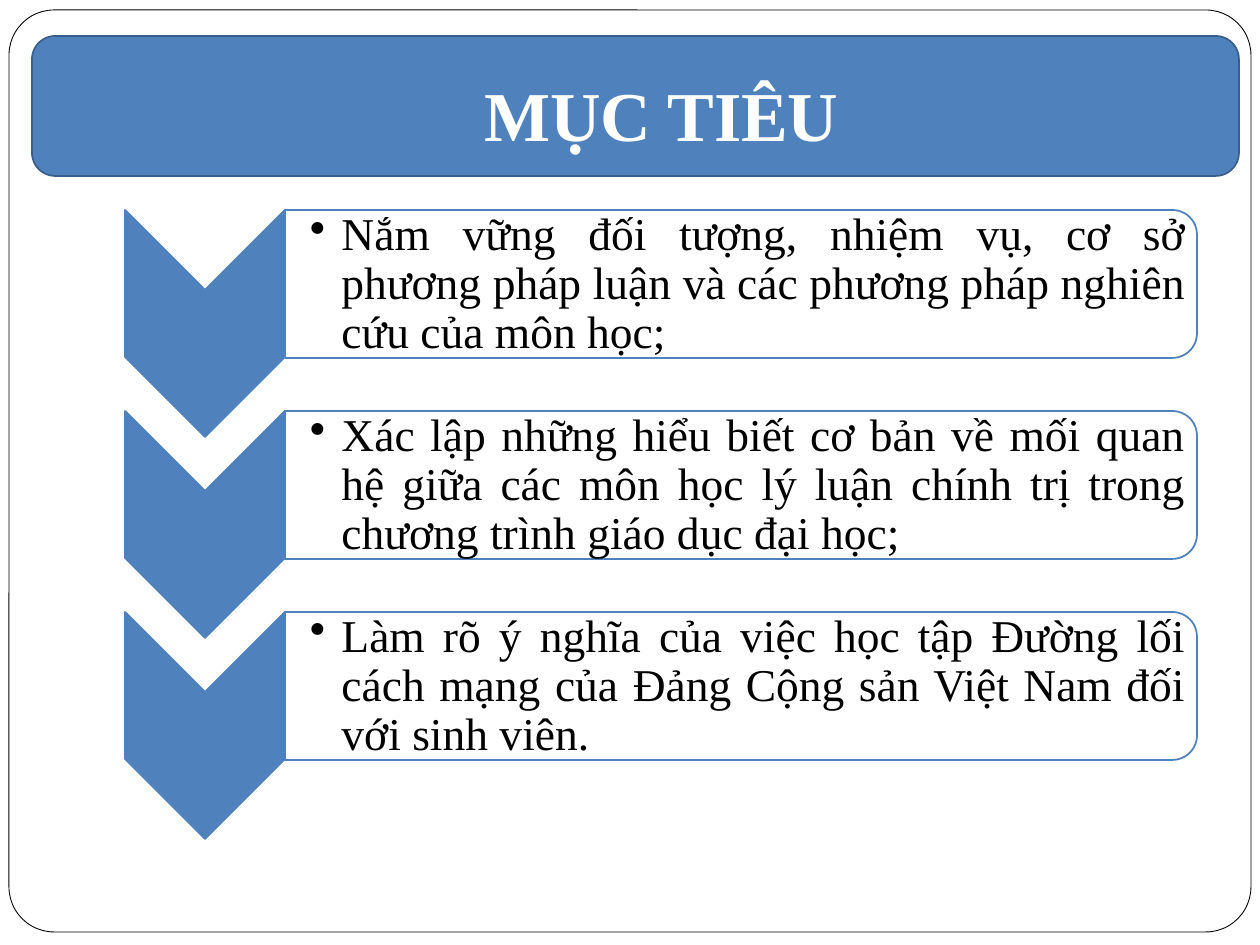
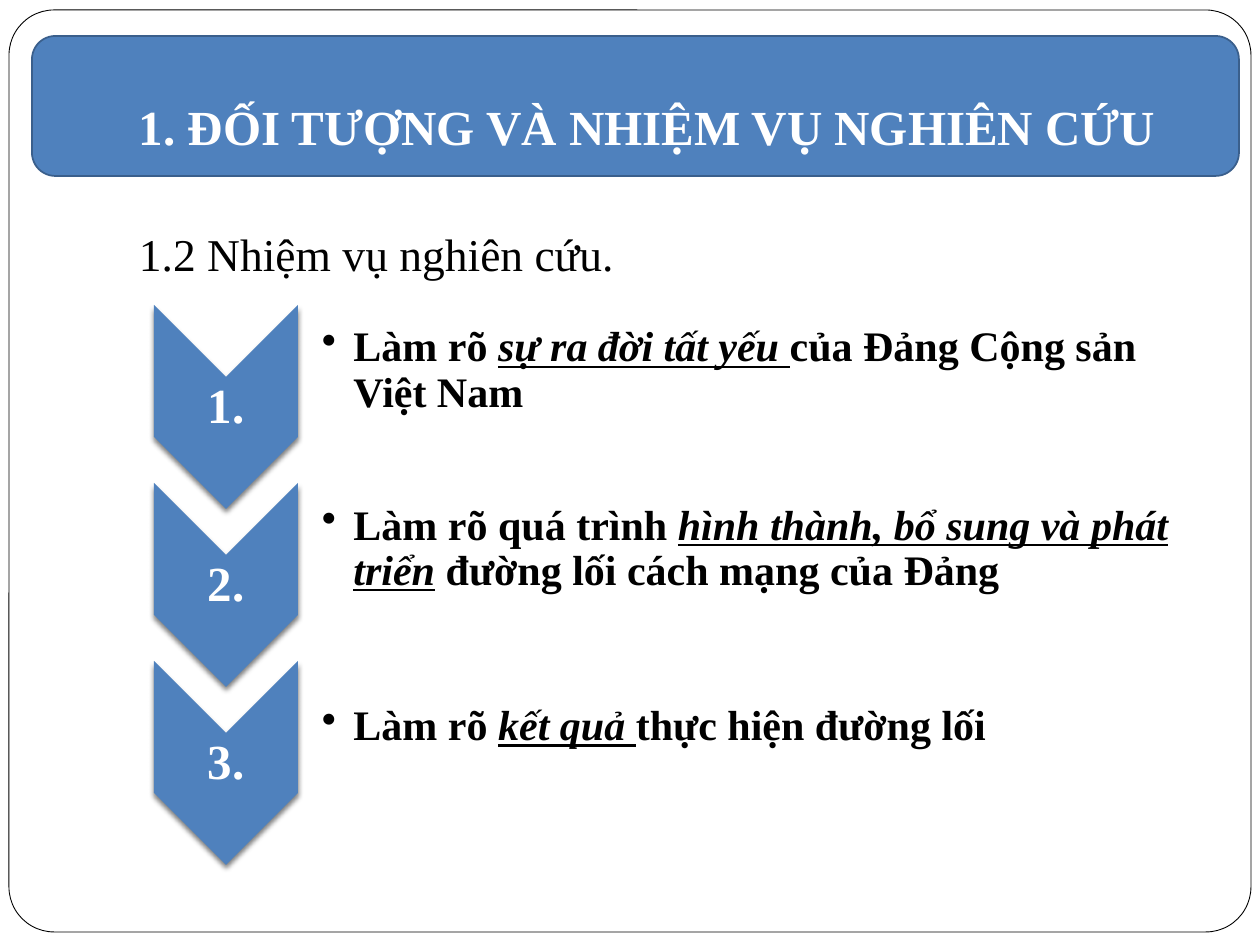
from lxml import etree
from pptx import Presentation
from pptx import util as u
from pptx.dml import color
from pptx.enum import shapes, text
from pptx.oxml import ns

KIND = shapes.MSO_SHAPE
ALIGN = text.PP_ALIGN
ANCHOR = text.MSO_ANCHOR


def px(n):
    return round(n * 914400 / 126)


def rgb(code):
    return color.RGBColor.from_string(code)


def sub(node, tag, **attrs):
    return etree.SubElement(node, ns.qn(tag), {k: str(v) for k, v in attrs.items()})


class Deck:
    font = "Times New Roman"
    blue, edge, white, black = "4F81BD", "3A5F8C", "FFFFFF", "000000"

    def __init__(self):
        self.prs = Presentation()
        self.prs.slide_width, self.prs.slide_height = px(1260), px(945)

    def page(self, title, size, align):
        self.slide = self.prs.slides.add_slide(self.prs.slide_layouts[6])
        frame = self.shape(KIND.ROUNDED_RECTANGLE, 9, 10, 1242, 922, self.white, self.black, 0.5)
        frame.adjustments[0] = 0.049
        self.shape(KIND.ROUNDED_RECTANGLE, 32, 36, 1207, 140, self.blue, self.edge)
        self.label(title, 126, 10, 1071, 158, size, self.white, True, align,
                   ANCHOR.BOTTOM, (13, 6, 13, 13))

    def shape(self, kind, x, y, w, h, fill, line=None, width=1):
        item = self.slide.shapes.add_shape(kind, px(x), px(y), px(w), px(h))
        item.shadow.inherit = False
        item.fill.solid()
        item.fill.fore_color.rgb = rgb(fill)
        if line:
            item.line.color.rgb = rgb(line)
            item.line.width = u.Pt(width)
        else:
            item.line.fill.background()
        return item

    def turned(self, kind, x, y, w, h, fill, line=None):
        shift = (w - h) / 2
        item = self.shape(kind, x + shift, y - shift, h, w, fill, line)
        item.rotation = 90
        return item

    def chevron(self, x, y, w, h, line=None):
        return self.turned(KIND.CHEVRON, x, y, w, h, self.blue, line)

    def shade(self, item):
        fx = item._element.spPr.find(ns.qn("a:effectLst"))
        cast = sub(fx, "a:outerShdw", blurRad=u.Pt(3), dist=u.Pt(2), dir=5400000,
                   rotWithShape=0)
        sub(sub(cast, "a:srgbClr", val=self.black), "a:alpha", val=50000)

    def label(self, words, x, y, w, h, size, ink, bold=False, align=ALIGN.LEFT,
              anchor=ANCHOR.MIDDLE, pad=(3, 3, 3, 3)):
        box = self.slide.shapes.add_textbox(px(x), px(y), px(w), px(h))
        body = box.text_frame
        body.word_wrap = True
        body.vertical_anchor = anchor
        body.margin_left, body.margin_top, body.margin_right, body.margin_bottom = map(px, pad)
        para = body.paragraphs[0]
        para.alignment = align
        for n, part in enumerate(words.split("|")):
            run = para.add_run()
            run.text = part
            run.font.name, run.font.size = self.font, u.Pt(size)
            run.font.bold = bold
            run.font.color.rgb = rgb(ink)
            if n % 2:
                run.font.italic = run.font.underline = True
        return para

    def bullet(self, words, x, y, w, h, size, bold=False, align=ALIGN.LEFT):
        para = self.label(words, x, y, w, h, size, self.black, bold, align, pad=(25, 3, 3, 3))
        para.line_spacing = 0.9
        props = para._p.get_or_add_pPr()
        props.set("marL", str(u.Inches(0.25)))
        props.set("indent", str(-u.Inches(0.25)))
        sub(props, "a:buChar", char="•")


deck = Deck()

deck.page("MỤC TIÊU", 40, ALIGN.CENTER)
goals = [
    "Nắm vững đối tượng, nhiệm vụ, cơ sở phương pháp luận và các phương pháp nghiên cứu của môn học;",
    "Xác lập những hiểu biết cơ bản về mối quan hệ giữa các môn học lý luận chính trị trong chương trình giáo dục đại học;",
    "Làm rõ ý nghĩa của việc học tập Đường lối cách mạng của Đảng Cộng sản Việt Nam đối với sinh viên.",
]
for n, goal in enumerate(goals):
    top = 210 + 201 * n
    deck.chevron(125, top, 160, 227, deck.blue)
    deck.turned(KIND.ROUND_2_SAME_RECTANGLE, 285, top, 912, 148, deck.white, deck.blue)
    deck.bullet(goal, 285, top + 8, 904, 134, 26, align=ALIGN.JUSTIFY)

deck.page("1. ĐỐI TƯỢNG VÀ NHIỆM VỤ NGHIÊN CỨU", 28, ALIGN.LEFT)
intro = deck.label("1.2 Nhiệm vụ nghiên cứu.", 126, 220, 1071, 72, 26, deck.black,
                   anchor=ANCHOR.TOP, pad=(13, 6, 13, 6))
intro.space_before = u.Pt(5.8)
tasks = [
    "Làm rõ |sự ra đời tất yếu |của Đảng Cộng sản Việt Nam",
    "Làm rõ quá trình |hình thành, bổ sung và phát triển| đường lối cách mạng của Đảng",
    "Làm rõ |kết quả |thực hiện đường lối",
]
for n, task in enumerate(tasks):
    top = 305 + 178 * n
    deck.shade(deck.chevron(154, top, 144, 204))
    mark = deck.label(f"{n + 1}.", 154, top + 72, 144, 62, 28, deck.white, True, ALIGN.CENTER)
    mark.line_spacing = 0.9
    deck.bullet(task, 297, top + 6, 890, 120, 24, True)

deck.prs.save("out.pptx")
